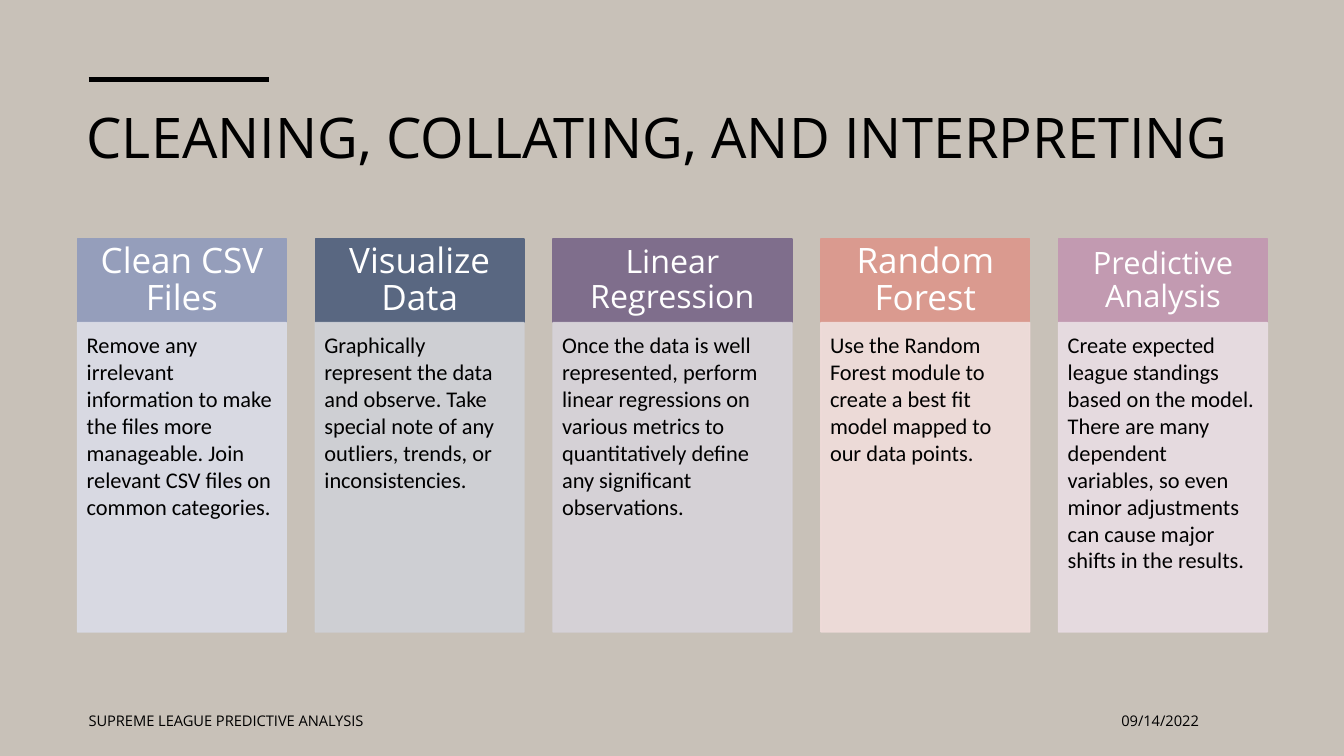
from dataclasses import dataclass

from lxml import etree
from pptx import Presentation
from pptx import util as u
from pptx.dml.color import RGBColor
from pptx.enum import shapes, text
from pptx.oxml import ns

HEADING_FONT, BODY_FONT = "Open Sans", "Calibri"
LEFT, RIGHT = 0.77, 12.57
HEADER_TOP, HEADER_HEIGHT, BODY_HEIGHT = 2.37, 0.83, 3.07
STANDARD_INSETS = (0.1, 0.05, 0.1, 0.05)


@dataclass
class Step:
    heading: str
    size: float
    dark: str
    light: str
    body: str
    width: float = 2.07


@dataclass
class Style:
    size: float
    font: str = HEADING_FONT
    color: str = "000000"
    align: text.PP_ALIGN = text.PP_ALIGN.LEFT
    anchor: text.MSO_ANCHOR = text.MSO_ANCHOR.MIDDLE
    spacing: float = 1.0
    insets: tuple[float, ...] = STANDARD_INSETS


STEPS = [
    Step("Clean CSV Files", 25, "959EBB", "DADCE7",
         "Remove any irrelevant information to make the files more manageable. "
         "Join relevant CSV files on common categories."),
    Step("Visualize Data", 25, "596781", "CFD1D7",
         "Graphically represent the data and observe. Take special note of any "
         "outliers, trends, or inconsistencies."),
    Step("Linear Regression", 23, "7F6E8C", "D7D3DA",
         "Once the data is well represented, perform linear regressions on various "
         "metrics to quantitatively define any significant observations.", 2.37),
    Step("Random Forest", 25, "DA9A8F", "F1DDDB",
         "Use the Random Forest module to create a best fit model mapped to our "
         "data points."),
    Step("Predictive Analysis", 22, "C29AB1", "E9DDE4",
         "Create expected league standings based on the model. There are many "
         "dependent variables, so even minor adjustments can cause major shifts "
         "in the results."),
]


def rgb(value: str) -> RGBColor:
    return RGBColor.from_string(value)


def inches(*lengths: float) -> list[u.Length]:
    return [u.Inches(length) for length in lengths]


def set_attributes(target, values: dict) -> None:
    for name, value in values.items():
        setattr(target, name, value)


def write(shape, words: str, style: Style) -> None:
    """Put one formatted paragraph in a shape."""
    frame = shape.text_frame
    sides = ("margin_left", "margin_top", "margin_right", "margin_bottom")
    set_attributes(frame, dict(zip(sides, inches(*style.insets))))
    set_attributes(frame, {"word_wrap": True, "vertical_anchor": style.anchor,
                           "auto_size": text.MSO_AUTO_SIZE.NONE})
    paragraph = frame.paragraphs[0]
    set_attributes(paragraph, {"alignment": style.align, "line_spacing": style.spacing})
    run = paragraph.add_run()
    run.text = words
    set_attributes(run.font, {"size": u.Pt(style.size), "name": style.font})
    run.font.color.rgb = rgb(style.color)


def add_panel(slide, box: tuple[float, ...], color: str, opacity: int = 100):
    """Draw a rectangle whose fill and outline share a colour and opacity."""
    panel = slide.shapes.add_shape(shapes.MSO_SHAPE.RECTANGLE, *inches(*box))
    panel.shadow.inherit = False
    panel.fill.solid()
    panel.fill.fore_color.rgb = rgb(color)
    panel.line.color.rgb = rgb(color)
    panel.line.width = u.Pt(1)
    if opacity < 100:
        for node in panel._element.spPr.iter(ns.qn("a:srgbClr")):
            etree.SubElement(node, ns.qn("a:alpha"), val=str(opacity * 1000))
    return panel


def add_step(slide, step: Step, left: float) -> None:
    header = add_panel(slide, (left, HEADER_TOP, step.width, HEADER_HEIGHT), step.dark)
    write(header, step.heading,
          Style(step.size, color="FFFFFF", align=text.PP_ALIGN.CENTER, spacing=0.9,
                insets=(0.22, 0.12, 0.22, 0.12)))
    body_box = (left, HEADER_TOP + HEADER_HEIGHT, step.width, BODY_HEIGHT)
    body = add_panel(slide, body_box, step.light, opacity=90)
    write(body, step.body,
          Style(16, BODY_FONT, anchor=text.MSO_ANCHOR.TOP,
                insets=(0.09, 0.09, 0.12, 0.14)))


def add_label(slide, box: tuple[float, ...], words: str, align: text.PP_ALIGN) -> None:
    write(slide.shapes.add_textbox(*inches(*box)), words, Style(10.5, align=align))


def main() -> None:
    presentation = Presentation()
    set_attributes(presentation, {"slide_width": u.Inches(13.33),
                                  "slide_height": u.Inches(7.5)})
    slide = presentation.slides.add_slide(presentation.slide_layouts[5])
    slide.background.fill.solid()
    slide.background.fill.fore_color.rgb = rgb("C8C1B8")

    # Accent rule and title
    rule = slide.shapes.add_connector(shapes.MSO_CONNECTOR.STRAIGHT,
                                      *inches(0.88, 0.79, 2.67, 0.79))
    rule.line.color.rgb = rgb("000000")
    rule.line.width = u.Pt(3.5)
    etree.SubElement(rule._element.spPr, ns.qn("a:effectLst"))
    title = slide.shapes.title
    sides = ("left", "top", "width", "height")
    set_attributes(title, dict(zip(sides, inches(0.76, 0.97, 11.81, 1.15))))
    write(title, "CLEANING, COLLATING, AND INTERPRETING",
          Style(40, anchor=text.MSO_ANCHOR.TOP))

    # Step columns with equal gaps
    gap = (RIGHT - LEFT - sum(step.width for step in STEPS)) / (len(STEPS) - 1)
    left = LEFT
    for step in STEPS:
        add_step(slide, step, left)
        left += step.width + gap

    # Footer
    add_label(slide, (0.78, 6.95, 4.96, 0.4), "SUPREME LEAGUE PREDICTIVE ANALYSIS",
              text.PP_ALIGN.LEFT)
    add_label(slide, (9.15, 6.95, 2.84, 0.4), "09/14/2022", text.PP_ALIGN.RIGHT)

    presentation.save("out.pptx")


if __name__ == "__main__":
    main()
